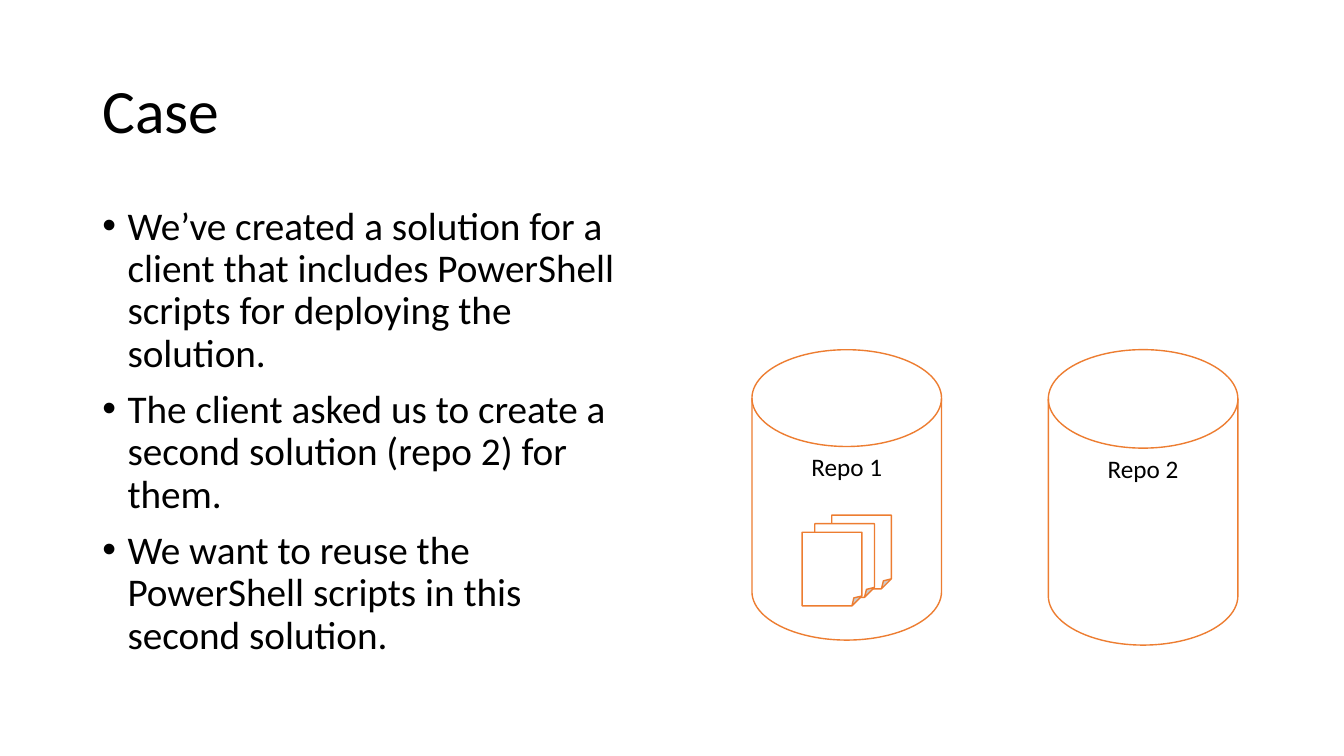
from dataclasses import dataclass

import pptx
import pptx.dml.color
import pptx.enum.shapes
import pptx.enum.text
import pptx.util
from lxml import etree

Pt = pptx.util.Pt
RGB = pptx.dml.color.RGBColor
Shape = pptx.enum.shapes.MSO_SHAPE
Align = pptx.enum.text.PP_ALIGN
Anchor = pptx.enum.text.MSO_ANCHOR


@dataclass(frozen=True)
class Theme:
    font: str = "Calibri"
    text: RGB = RGB(0, 0, 0)
    paper: RGB = RGB(255, 255, 255)
    outline: RGB = RGB(0xED, 0x7D, 0x31)
    title_size: float = 44
    body_size: float = 28
    label_size: float = 18


@dataclass(frozen=True)
class Box:
    left: float
    top: float
    width: float
    height: float

    def lengths(self) -> tuple:
        return Pt(self.left), Pt(self.top), Pt(self.width), Pt(self.height)


@dataclass(frozen=True)
class Repo:
    label: str
    box: Box


THEME = Theme()
BULLET_INDENT = 18
POINTS = [
    "We’ve created a solution for a client that includes PowerShell scripts for deploying the solution.",
    "The client asked us to create a second solution (repo 2) for them.",
    "We want to reuse the PowerShell scripts in this second solution.",
]
REPOS = [
    Repo("Repo 1", Box(537.1, 249.8, 135.4, 207.4)),
    Repo("Repo 2", Box(748.8, 249.8, 135.4, 211)),
]
# Script sheets, from back to front
SHEETS = [Box(left, 368 + 6.1 * i, 42.6, 52.6)
          for i, left in enumerate((594.1, 582, 573))]


def style(paragraph, size: float, align=Align.LEFT) -> None:
    paragraph.alignment = align
    paragraph.font.name = THEME.font
    paragraph.font.size = Pt(size)
    paragraph.font.color.rgb = THEME.text


def add_bullet(paragraph) -> None:
    properties = paragraph._p.get_or_add_pPr()
    properties.set("marL", str(Pt(BULLET_INDENT)))
    properties.set("indent", str(-Pt(BULLET_INDENT)))
    namespace = properties.nsmap["a"]
    etree.SubElement(properties, f"{{{namespace}}}buFont", typeface="Arial")
    etree.SubElement(properties, f"{{{namespace}}}buChar", char="•")


def add_outlined(slide, kind: Shape, box: Box):
    outlined = slide.shapes.add_shape(kind, *box.lengths())
    outlined.shadow.inherit = False
    outlined.line.color.rgb = THEME.outline
    outlined.line.width = Pt(1)
    return outlined


def add_repo(slide, repo: Repo) -> None:
    disk = add_outlined(slide, Shape.FLOWCHART_MAGNETIC_DISK, repo.box)
    disk.fill.background()
    disk.text_frame.text = repo.label
    disk.text_frame.vertical_anchor = Anchor.TOP
    style(disk.text_frame.paragraphs[0], THEME.label_size, Align.CENTER)


def add_sheet(slide, box: Box) -> None:
    sheet = add_outlined(slide, Shape.FOLDED_CORNER, box)
    sheet.fill.solid()
    sheet.fill.fore_color.rgb = THEME.paper


def add_points(slide, points: list[str], box: Box) -> None:
    frame = slide.shapes.add_textbox(*box.lengths()).text_frame
    frame.word_wrap = True
    frame.text = "\n".join(points)
    for paragraph in frame.paragraphs:
        style(paragraph, THEME.body_size)
        paragraph.line_spacing = 0.9
        paragraph.space_before = Pt(10)
        add_bullet(paragraph)


presentation = pptx.Presentation()
presentation.slide_width = Pt(960)
presentation.slide_height = Pt(540)
slide = presentation.slides.add_slide(presentation.slide_layouts[5])

# Title
title = slide.shapes.title
title.left, title.top, title.width, title.height = Box(66, 28.75, 828, 104.4).lengths()
title.text_frame.text = "Case"
title.text_frame.vertical_anchor = Anchor.MIDDLE
style(title.text_frame.paragraphs[0], THEME.title_size)
title.text_frame.paragraphs[0].line_spacing = 0.9

# Bullet points
add_points(slide, POINTS, Box(66, 143.75, 394.5, 342.6))

# Repositories and the scripts in the first one
for repo in REPOS:
    add_repo(slide, repo)
for sheet_box in SHEETS:
    add_sheet(slide, sheet_box)

presentation.save("out.pptx")
